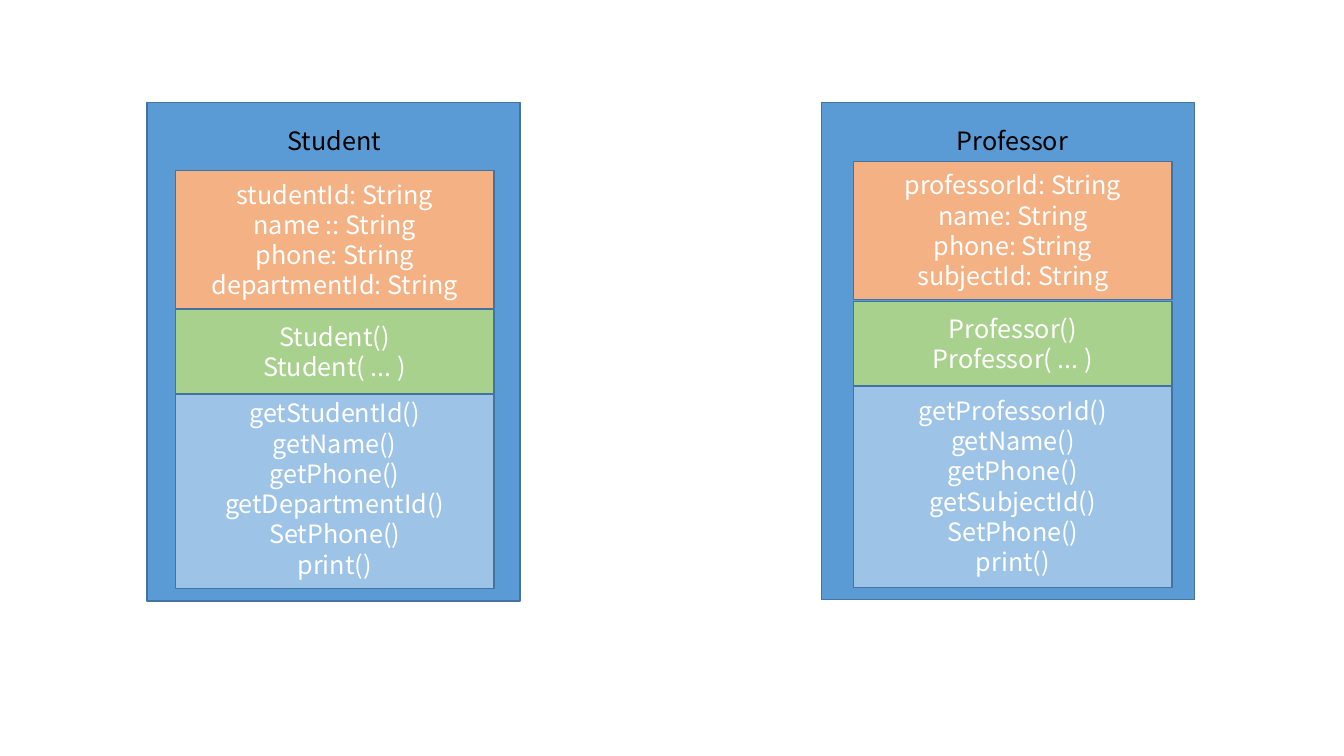
from pptx import Presentation
from pptx.dml.color import RGBColor
from pptx.enum.shapes import MSO_SHAPE
from pptx.enum.text import MSO_ANCHOR, PP_ALIGN
from pptx.util import Pt

RECTANGLE = MSO_SHAPE.RECTANGLE
MIDDLE = MSO_ANCHOR.MIDDLE
CENTER = PP_ALIGN.CENTER

BLUE = RGBColor(0x5B, 0x9B, 0xD5)
OUTLINE = RGBColor(0x43, 0x73, 0x9E)
ORANGE = RGBColor(0xF4, 0xB1, 0x83)
GREEN = RGBColor(0xA9, 0xD1, 0x8E)
LIGHT_BLUE = RGBColor(0x9D, 0xC3, 0xE6)
WHITE = RGBColor(0xFF, 0xFF, 0xFF)
BLACK = RGBColor(0, 0, 0)

FONT = "Noto Sans CJK KR"
FONT_SIZE = 18
LINE_PITCH = 21.6
FRAME_TOP, FRAME_WIDTH = 73.4, 266.4
TITLE_TOP, TITLE_WIDTH, TITLE_HEIGHT = 85.7, 213.8, 28.8
SECTION_WIDTH = 227.5
FIELDS_HEIGHT, CONSTRUCTORS_HEIGHT = 98.6, 60.5


def write_lines(frame, lines, color):
    """Fill a text frame with centred lines."""
    frame.word_wrap = True
    frame.text = "\n".join(lines)
    for para in frame.paragraphs:
        para.alignment = CENTER
        para.line_spacing = Pt(LINE_PITCH)
        for span in para.runs:
            span.font.name = FONT
            span.font.size = Pt(FONT_SIZE)
            span.font.color.rgb = color


def add_box(page, left, top, width, height, fill, lines=()):
    """Draw an outlined rectangle, with text if there is any."""
    box = page.shapes.add_shape(RECTANGLE, Pt(left), Pt(top), Pt(width), Pt(height))
    box.shadow.inherit = False
    box.fill.solid()
    box.fill.fore_color.rgb = fill
    box.line.color.rgb = OUTLINE
    box.line.width = Pt(1)
    if lines:
        box.text_frame.vertical_anchor = MIDDLE
        write_lines(box.text_frame, lines, WHITE)


def add_title(page, left, name):
    """Write the class name above its sections."""
    box = page.shapes.add_textbox(Pt(left), Pt(TITLE_TOP), Pt(TITLE_WIDTH), Pt(TITLE_HEIGHT))
    write_lines(box.text_frame, [name], BLACK)


def add_class(page, name, frame, title_left, section_left, tops, methods_height,
              fields, methods):
    """Draw one class with its fields, constructors and methods."""
    frame_left, frame_height = frame
    fields_top, constructors_top, methods_top = tops
    constructors = [f"{name}()", f"{name}( ... )"]
    add_box(page, frame_left, FRAME_TOP, FRAME_WIDTH, frame_height, BLUE)
    add_title(page, title_left, name)
    for top, height, fill, lines in (
        (fields_top, FIELDS_HEIGHT, ORANGE, fields),
        (methods_top, methods_height, LIGHT_BLUE, methods),
        (constructors_top, CONSTRUCTORS_HEIGHT, GREEN, constructors),
    ):
        add_box(page, section_left, top, SECTION_WIDTH, height, fill, lines)


def main():
    """Build the slide with both classes."""
    deck = Presentation()
    deck.slide_width, deck.slide_height = Pt(960), Pt(540)
    page = deck.slides.add_slide(deck.slide_layouts[6])
    add_class(
        page, "Student", (105.1, 355.9), 131.8, 125.3, (121.7, 221, 277.2), 143.3,
        ["studentId: String", "name :: String", "phone: String", "departmentId: String"],
        ["getStudentId()", "getName()", "getPhone()", "getDepartmentId()",
         "SetPhone()", "print()"],
    )
    add_class(
        page, "Professor", (586.8, 355), 616.3, 609.8, (115.2, 215.3, 274.3), 145.4,
        ["professorId: String", "name: String", "phone: String", "subjectId: String"],
        ["getProfessorId()", "getName()", "getPhone()", "getSubjectId()",
         "SetPhone()", "print()"],
    )
    deck.save("out.pptx")


if __name__ == "__main__":
    main()
